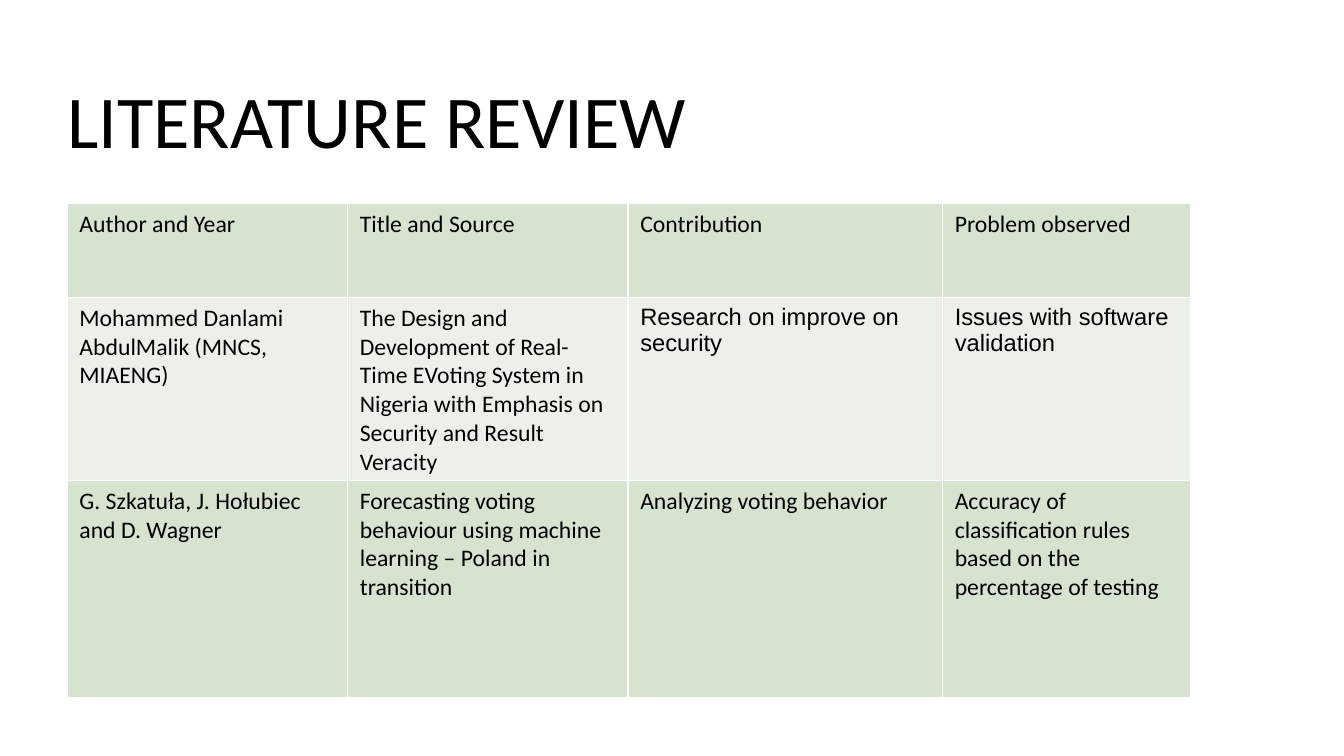
from lxml import etree
from pptx import Presentation
from pptx import util as u
from pptx.dml.color import RGBColor
from pptx.enum import text
from pptx.oxml.ns import qn

COLORS = {"ink": "000000", "band": "D5E3CF", "pale": "EBF1E9", "border": "FFFFFF"}
LEFT = u.Cm(1.4)
COLUMN_WIDTHS = [5.84, 5.84, 6.55, 5.16]
ROW_HEIGHTS = [1.96, 3.81, 4.52]
REVIEW = [
    ["Author and Year", "Title and Source", "Contribution", "Problem observed"],
    ["Mohammed Danlami AbdulMalik (MNCS, MIAENG) ",
     "The Design and Development of Real-Time EVoting System in Nigeria "
     "with Emphasis on Security and Result Veracity ",
     "Research on improve on security",
     "Issues with software validation"],
    ["G. Szkatuła, J. Hołubiec and D. Wagner",
     "Forecasting voting behaviour using machine learning – Poland in transition",
     "Analyzing voting behavior ",
     "Accuracy of classiﬁcation rules based on the percentage of testing"],
]
ARIAL_CELLS = {(1, 2), (1, 3)}


def write(para, words, size, font="Calibri"):
    """Put words in a paragraph and set its font."""
    para.text = words
    para.font.size = u.Pt(size)
    para.font.name = font
    para.font.color.rgb = RGBColor.from_string(COLORS["ink"])


def add_borders(cell):
    """Draw a thin line on all four sides of a cell."""
    properties = cell._tc.get_or_add_tcPr()
    for side in ("lnL", "lnR", "lnT", "lnB"):
        line = etree.SubElement(properties, qn("a:" + side), w=str(u.Pt(1)))
        fill = etree.SubElement(line, qn("a:solidFill"))
        etree.SubElement(fill, qn("a:srgbClr"), val=COLORS["border"])


deck = Presentation()
deck.slide_width, deck.slide_height = u.Cm(27.99), u.Cm(15.75)
page = deck.slides.add_slide(deck.slide_layouts[6])

title = page.shapes.add_textbox(LEFT, u.Cm(0.74), u.Cm(25.2), u.Cm(2.54)).text_frame
title.word_wrap = True
title.vertical_anchor = text.MSO_ANCHOR.MIDDLE
title.margin_left = title.margin_right = title.margin_top = title.margin_bottom = 0
write(title.paragraphs[0], "LITERATURE REVIEW", 44)
title.paragraphs[0].line_spacing = 1.5

table = page.shapes.add_table(
    len(ROW_HEIGHTS), len(COLUMN_WIDTHS), LEFT, u.Cm(4.24),
    u.Cm(sum(COLUMN_WIDTHS)), u.Cm(sum(ROW_HEIGHTS))).table
table.first_row = table.horz_banding = False
for column, width in zip(table.columns, COLUMN_WIDTHS):
    column.width = u.Cm(width)

for r, (height, entries) in enumerate(zip(ROW_HEIGHTS, REVIEW)):
    table.rows[r].height = u.Cm(height)
    shade = COLORS["pale" if r % 2 else "band"]
    for c, words in enumerate(entries):
        cell = table.cell(r, c)
        add_borders(cell)
        cell.fill.solid()
        cell.fill.fore_color.rgb = RGBColor.from_string(shade)
        font = "Arial" if (r, c) in ARIAL_CELLS else "Calibri"
        write(cell.text_frame.paragraphs[0], words, 14, font)

deck.save("out.pptx")
